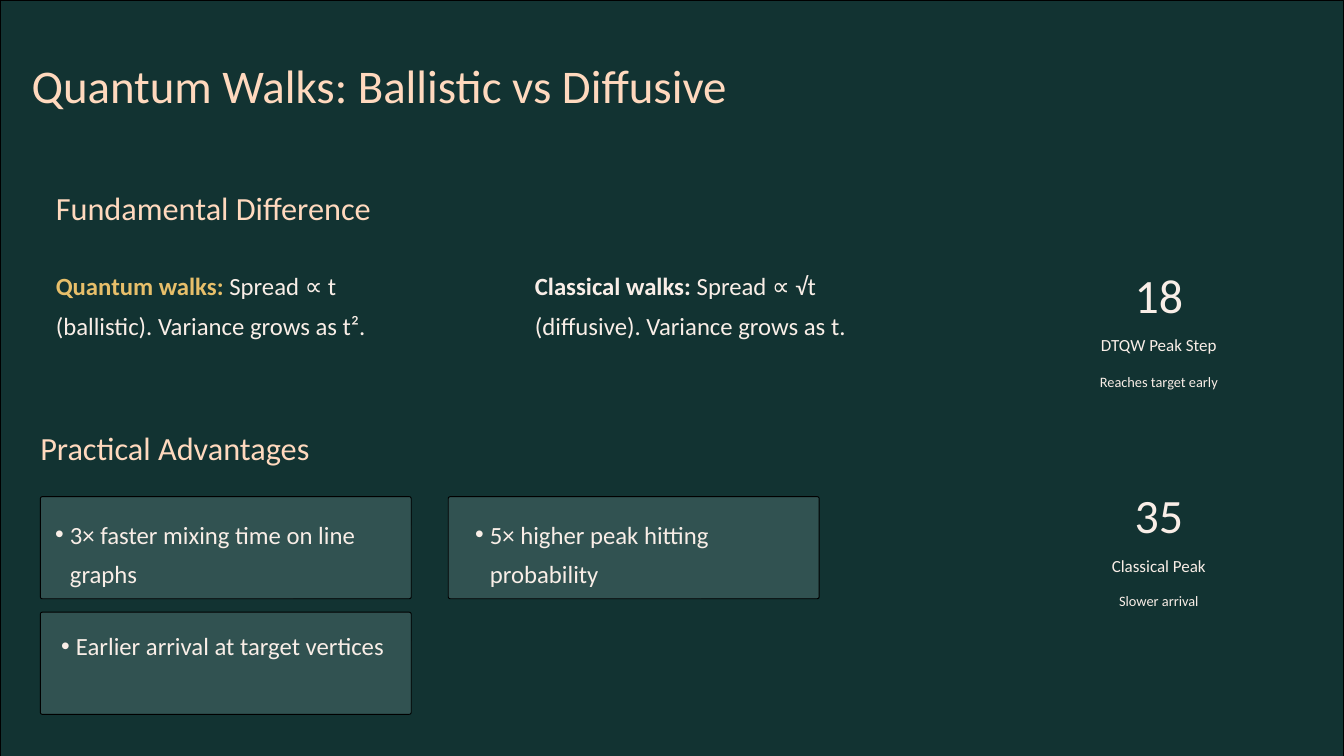
"""Build the quantum walks slide: two definitions, three advantage cards, two peak figures."""
from lxml import etree
from pptx import Presentation
from pptx.dml.color import RGBColor
from pptx.enum.shapes import MSO_SHAPE
from pptx.enum.text import MSO_ANCHOR, PP_ALIGN
from pptx.oxml.ns import qn
from pptx.util import Inches, Pt

RECT, ROUND = MSO_SHAPE.RECTANGLE, MSO_SHAPE.ROUNDED_RECTANGLE
TOP, LEFT, CENTER = MSO_ANCHOR.TOP, PP_ALIGN.LEFT, PP_ALIGN.CENTER
WIDE, HIGH = 20, 11.25
COLORS = {"edge": "000000", "back": "123332", "card": "315251",
          "peach": "FFD9BE", "gold": "E7BF6A", "cream": "F9EEE7"}
STYLES = {
    "title": {"size": 50.2, "line": 63.2, "color": "peach"},
    "head": {"size": 34.6, "line": 43, "color": "peach"},
    "body": {"size": 26.5, "line": 42.6, "color": "cream"},
    "figure": {"size": 51.3, "line": 51.3, "color": "cream"},
    "label": {"size": 18.2, "line": 22.6, "color": "cream"},
    "note": {"size": 15.4, "line": 24.8, "color": "cream"},
}

TITLE = "Quantum Walks: Ballistic vs Diffusive"
HEADS = [
    ("Fundamental Difference", (0.83, 2.78, 5.29, 0.6)),
    ("Practical Advantages", (0.6, 6.35, 4.46, 0.6)),
]
WALKS = [
    ("Quantum walks:", "gold", " Spread ∝ t (ballistic). Variance grows as t²."),
    ("Classical walks:", "cream", " Spread ∝ √t (diffusive). Variance grows as t."),
]
GAINS = [
    ("3× faster mixing time on line graphs", 0, 0.19),
    ("5× higher peak hitting probability", 0.18, 0.19),
    ("Earlier arrival at target vertices", 0.09, 0.13),
]
PEAKS = [
    [("18", "figure", 4.1, 0.62), ("DTQW Peak Step", "label", 4.97, 0.34),
     ("Reaches target early", "note", 5.46, 0.41)],
    [("35", "figure", 7.37, 0.76), ("Classical Peak", "label", 8.25, 0.32),
     ("Slower arrival", "note", 8.73, 0.32)],
]
WALK_X, WALK_Y, WALK_STEP = 0.83, 3.88, 7.13
CARD_X, CARD_Y, CARD_W, CARD_H = 0.6, 7.39, 5.52, 1.52
STEP_X, STEP_Y, COLS = 6.07, 1.72, 2
TEXT_W, TEXT_H = 5.35, 1.14
PEAK_X, PEAK_W = 15.36, 3.77


def tint(name):
    return RGBColor.from_string(COLORS[name])


def write(shape, box, runs, style, align=LEFT):
    look = STYLES[style]
    for key, size in zip(("left", "top", "width", "height"), box):
        setattr(shape, key, Inches(size))
    frame = shape.text_frame
    setup = {"word_wrap": True, "vertical_anchor": TOP, "margin_left": 0,
             "margin_right": 0, "margin_top": 0, "margin_bottom": 0}
    for key, value in setup.items():
        setattr(frame, key, value)
    para = frame.paragraphs[0]
    para.alignment = align
    para.line_spacing = Pt(look["line"])
    for text, color, bold in runs:
        run = para.add_run()
        run.text = text
        font = {"name": "Calibri", "size": Pt(look["size"]), "bold": bold}
        for key, value in font.items():
            setattr(run.font, key, value)
        run.font.color.rgb = tint(color or look["color"])
    return para


def add_text(slide, box, runs, style, align=LEFT):
    shape = slide.shapes.add_textbox(0, 0, 0, 0)
    return write(shape, box, runs, style, align)


def add_panel(slide, kind, box, color):
    panel = slide.shapes.add_shape(kind, *map(Inches, box))
    panel.shadow.inherit = False
    panel.fill.solid()
    panel.fill.fore_color.rgb = tint(color)
    panel.line.color.rgb = tint("edge")
    panel.line.width = Pt(1)
    return panel


def add_bullet(para):
    props = para._p.get_or_add_pPr()
    props.set("marL", str(Inches(0.44)))
    props.set("indent", str(Inches(-0.22)))
    etree.SubElement(props, qn("a:buFont")).set("typeface", "Arial")
    etree.SubElement(props, qn("a:buChar")).set("char", "•")


def main():
    deck = Presentation()
    deck.slide_width, deck.slide_height = Inches(WIDE), Inches(HIGH)
    slide = deck.slides.add_slide(deck.slide_layouts[5])
    slide.background.fill.solid()
    slide.background.fill.fore_color.rgb = tint("edge")

    title = slide.shapes.title
    back = add_panel(slide, RECT, (0, 0, WIDE, HIGH), "back")
    title.element.addprevious(back.element)
    write(title, (0.47, 0.8, 11.7, 0.88), [(TITLE, None, False)], "title")

    for text, box in HEADS:
        add_text(slide, box, [(text, None, False)], "head")

    for col, (name, color, rest) in enumerate(WALKS):
        box = (WALK_X + col * WALK_STEP, WALK_Y, TEXT_W, TEXT_H)
        add_text(slide, box, [(name, color, True), (rest, None, False)], "body")

    for spot, (text, dx, dy) in enumerate(GAINS):
        row, col = divmod(spot, COLS)
        x, y = CARD_X + col * STEP_X, CARD_Y + row * STEP_Y
        card = add_panel(slide, ROUND, (x, y, CARD_W, CARD_H), "card")
        card.adjustments[0] = 0.02
        box = (x + dx, y + dy, TEXT_W, TEXT_H)
        add_bullet(add_text(slide, box, [(text, None, False)], "body"))

    for peak in PEAKS:
        for text, style, y, high in peak:
            box = (PEAK_X, y, PEAK_W, high)
            add_text(slide, box, [(text, None, False)], style, CENTER)

    deck.save("out.pptx")


if __name__ == "__main__":
    main()
